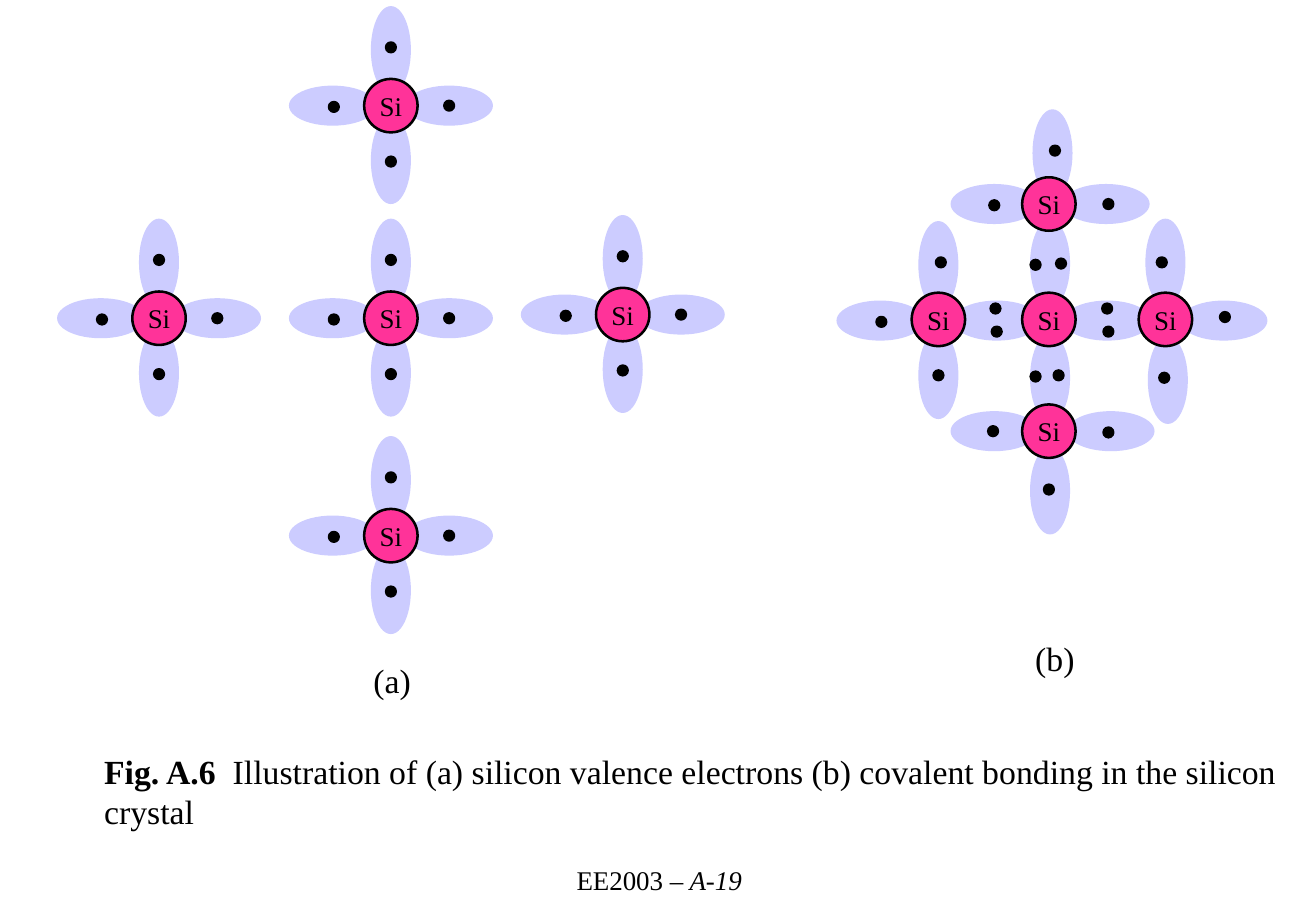
import pptx
import pptx.util
import pptx.dml.color
import pptx.enum.shapes
import pptx.enum.text

Inches, Pt = pptx.util.Inches, pptx.util.Pt
PP_ALIGN = pptx.enum.text.PP_ALIGN
MSO_ANCHOR = pptx.enum.text.MSO_ANCHOR

COLORS = {"lobe": "CCCCFF", "nucleus": "FF3399", "ink": "000000"}
FONT = "Times New Roman"
LOBE_LENGTH, LOBE_WIDTH = 0.72, 0.33
ELECTRON_SIZE, NUCLEUS_SIZE = 0.08, 0.44
LABEL_WIDTH, LABEL_HEIGHT = 0.7, 0.44

# Offsets from the centre of one free atom
FREE_LOBES_ACROSS = [(0.48, 0), (-0.48, 0)]
FREE_LOBES_UPRIGHT = [(0, -0.46), (0, 0.45)]
FREE_ELECTRONS = [(0.48, 0), (-0.47, 0.01), (0, -0.48), (0, 0.46)]
FREE_ATOMS = [(0, 0), (-1.91, 0), (1.91, -0.03), (0, -1.75), (0, 1.79)]

# Offsets from the central atom of the crystal
BONDED_ATOMS = [(0, 0), (-0.91, 0), (0.96, 0), (0, -0.95), (0, 0.92)]
BONDED_LOBES_ACROSS = [
    (-0.45, -0.95), (0.47, -0.95),
    (-1.39, 0.01), (-0.43, 0.01), (0.48, 0.01), (1.44, 0.01),
    (-0.45, 0.92), (0.51, 0.92),
]
BONDED_LOBES_UPRIGHT = [
    (0.03, -1.37), (0.01, -0.46), (0.01, 0.48), (0.01, 1.41),
    (-0.91, -0.45), (-0.91, 0.46), (0.96, -0.47), (0.98, 0.5),
]
BONDED_ELECTRONS = [
    # Shared pairs around the central atom
    (-0.11, -0.45), (0.1, -0.46), (-0.11, 0.47), (0.08, 0.46),
    (-0.44, -0.09), (-0.43, 0.1), (0.48, -0.09), (0.49, 0.1),
    # Unshared electrons: top, bottom, left and right atoms
    (0.05, -1.39), (-0.45, -0.94), (0.49, -0.95),
    (0, 1.4), (-0.46, 0.92), (0.49, 0.93),
    (-1.38, 0.02), (-0.89, -0.47), (-0.91, 0.46),
    (1.45, -0.02), (0.93, -0.47), (0.95, 0.48),
]


def rgb(name):
    return pptx.dml.color.RGBColor.from_string(COLORS[name])


def set_font(font, size):
    font.name, font.size, font.color.rgb = FONT, Pt(size), rgb("ink")


def add_oval(slide, center, width, height, color, outlined=True):
    x, y = center
    oval = slide.shapes.add_shape(
        pptx.enum.shapes.MSO_SHAPE.OVAL, Inches(x - width / 2),
        Inches(y - height / 2), Inches(width), Inches(height))
    oval.shadow.inherit = False
    oval.fill.solid()
    oval.fill.fore_color.rgb = rgb(color)
    if outlined:
        oval.line.color.rgb = rgb("ink")
        oval.line.width = Pt(1.5)
    else:
        oval.line.fill.background()
    return oval


def add_nucleus(slide, center):
    nucleus = add_oval(slide, center, NUCLEUS_SIZE, NUCLEUS_SIZE, "nucleus")
    frame = nucleus.text_frame
    frame.margin_left = frame.margin_right = 0
    frame.margin_top = frame.margin_bottom = 0
    frame.word_wrap = False
    frame.vertical_anchor = MSO_ANCHOR.MIDDLE
    label = frame.paragraphs[0]
    label.text = "Si"
    label.alignment = PP_ALIGN.CENTER
    set_font(label.font, 16)


def add_atoms(slide, center, across, upright, electrons, nuclei):
    """Place lobes, electrons and nuclei by their offsets from center."""
    def placed(offsets):
        return [(center[0] + dx, center[1] + dy) for dx, dy in offsets]

    for spot in placed(across):
        add_oval(slide, spot, LOBE_LENGTH, LOBE_WIDTH, "lobe", False)
    for spot in placed(upright):
        lobe = add_oval(slide, spot, LOBE_LENGTH, LOBE_WIDTH, "lobe", False)
        lobe.rotation = 270
    for spot in placed(electrons):
        add_oval(slide, spot, ELECTRON_SIZE, ELECTRON_SIZE, "ink")
    for spot in placed(nuclei):
        add_nucleus(slide, spot)


def add_text(slide, box, runs, size, align=PP_ALIGN.LEFT, wrap=False):
    """Write runs of (text, bold, italic) as one paragraph."""
    frame = slide.shapes.add_textbox(*map(Inches, box)).text_frame
    frame.word_wrap = wrap
    paragraph = frame.paragraphs[0]
    paragraph.alignment = align
    set_font(paragraph.font, size)
    for text, bold, italic in runs:
        run = paragraph.add_run()
        run.text = text
        run.font.bold, run.font.italic = bold, italic


def add_label(slide, middle, bottom, text):
    """Centre a diagram's letter on middle, just above bottom."""
    box = (middle - LABEL_WIDTH / 2, bottom - LABEL_HEIGHT,
           LABEL_WIDTH, LABEL_HEIGHT)
    add_text(slide, box, [(text, False, False)], 20, PP_ALIGN.CENTER)


def add_free_atoms(slide, box):
    left, top, width, height = box
    middle = left + width / 2
    for dx, dy in FREE_ATOMS:
        add_atoms(slide, (middle + dx, top + 2.57 + dy), FREE_LOBES_ACROSS,
                  FREE_LOBES_UPRIGHT, FREE_ELECTRONS, [(0, 0)])
    add_label(slide, middle + 0.01, top + height, "(a)")


def add_crystal(slide, box):
    left, top, width, height = box
    middle = left + width / 2
    add_atoms(slide, (middle, top + 1.73), BONDED_LOBES_ACROSS,
              BONDED_LOBES_UPRIGHT, BONDED_ELECTRONS, BONDED_ATOMS)
    add_label(slide, middle + 0.05, top + height, "(b)")


def main():
    deck = pptx.Presentation()
    deck.slide_width, deck.slide_height = Inches(10.84), Inches(7.5)
    slide = deck.slides.add_slide(deck.slide_layouts[6])

    # Diagrams
    add_free_atoms(slide, (0.47, 0.05, 5.5, 5.77))
    add_crystal(slide, (6.89, 0.9, 3.5, 4.74))

    # Caption and footer
    add_text(slide, (0.76, 6.13, 9.96, 0.77), [
        ("Fig. A.6  ", True, False),
        ("Illustration of (a) silicon valence electrons (b) covalent bonding "
         "in the silicon crystal", False, False)], 20, wrap=True)
    add_text(slide, (4.27, 7.06, 2.32, 0.37),
             [("EE2003", False, False), (" – A-19", False, True)],
             16, PP_ALIGN.CENTER)

    deck.save("out.pptx")


if __name__ == "__main__":
    main()
